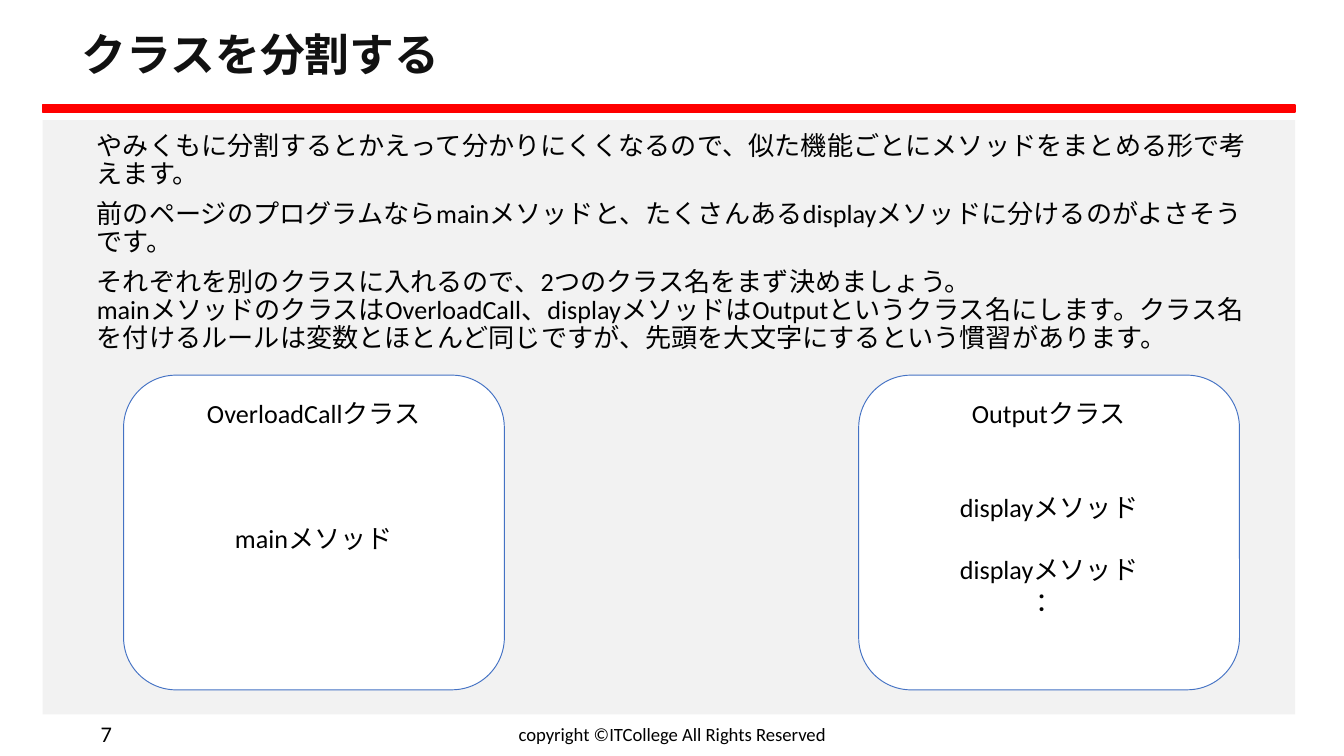
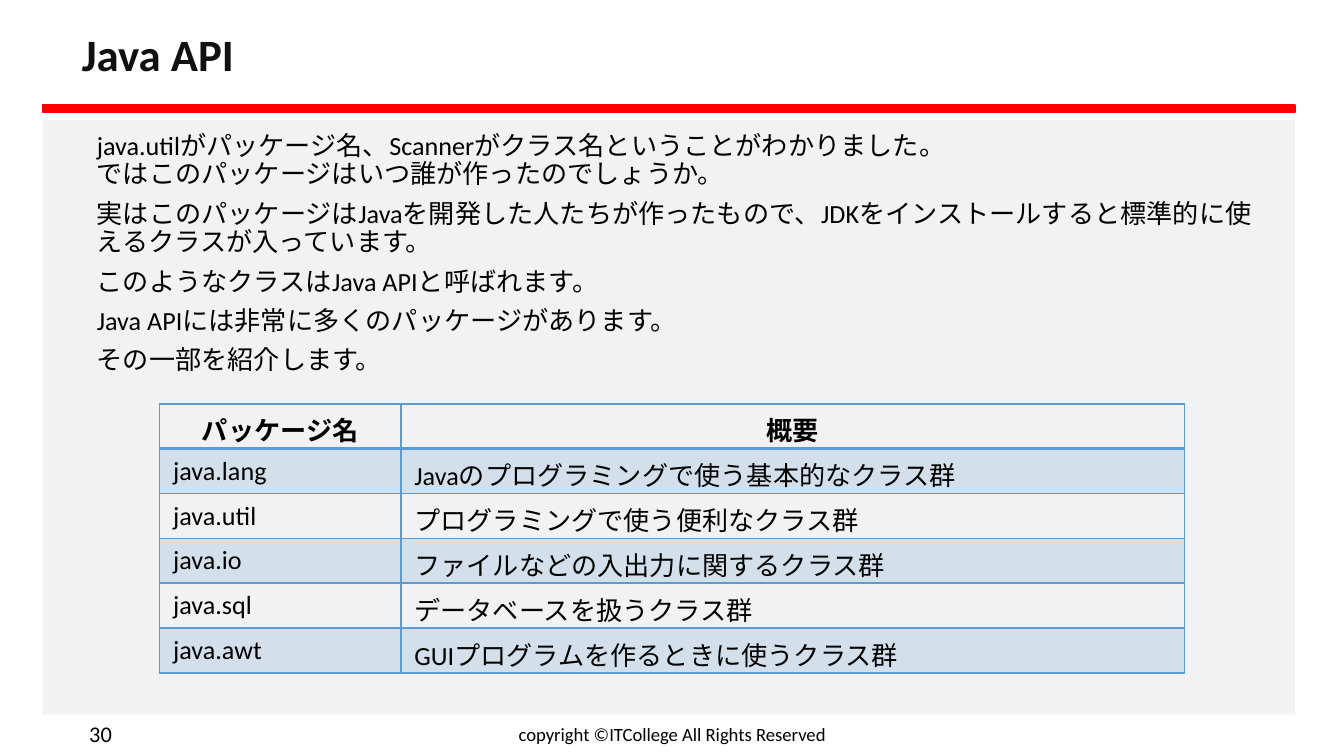
from lxml.etree import SubElement
from pptx import Presentation
from pptx.dml.color import RGBColor
from pptx.enum.lang import MSO_LANGUAGE_ID
from pptx.enum.shapes import MSO_SHAPE
from pptx.enum.text import MSO_ANCHOR, PP_ALIGN
from pptx.oxml.ns import qn
from pptx.util import Pt

BLACK = RGBColor(0x00, 0x00, 0x00)
TITLE_INK = RGBColor(0x11, 0x11, 0x11)
WHITE = RGBColor(0xFF, 0xFF, 0xFF)
PANEL = RGBColor(0xF2, 0xF2, 0xF2)
RED = RGBColor(0xFF, 0x00, 0x00)
CLASS_BLUE = RGBColor(0x44, 0x72, 0xC4)
TABLE_BLUE = RGBColor(0x5B, 0x9B, 0xD5)
LINE_HEIGHT = 16.75
COPYRIGHT = "copyright ©ITCollege All Rights Reserved"

PAGES = [
    ("クラスを分割する", "7", [
        "やみくもに分割するとかえって分かりにくくなるので、似た機能ごとにメソッドをまとめる形で考えます。",
        "前のページのプログラムならmainメソッドと、たくさんあるdisplayメソッドに分けるのがよさそうです。",
        "それぞれを別のクラスに入れるので、2つのクラス名をまず決めましょう。\n"
        "mainメソッドのクラスはOverloadCall、displayメソッドはOutputというクラス名にします。"
        "クラス名を付けるルールは変数とほとんど同じですが、先頭を大文字にするという慣習があります。",
    ]),
    ("Java API", "30", [
        "java.utilがパッケージ名、Scannerがクラス名ということがわかりました。\n"
        "ではこのパッケージはいつ誰が作ったのでしょうか。",
        "実はこのパッケージはJavaを開発した人たちが作ったもので、JDKをインストールすると標準的に使えるクラスが入っています。",
        "このようなクラスはJava APIと呼ばれます。",
        "Java APIには非常に多くのパッケージがあります。",
        "その一部を紹介します。",
    ]),
]

# Each line of a class box: text, number of lines left free above it
CLASS_BOXES = [
    (66.2, [("OverloadCallクラス", 0), ("mainメソッド", 3)]),
    (460, [("Outputクラス", 0), ("displayメソッド", 2),
           ("displayメソッド", 1), ("：", 0)]),
]

PACKAGES = [
    ("パッケージ名", "概要"),
    ("java.lang", "Javaのプログラミングで使う基本的なクラス群"),
    ("java.util", "プログラミングで使う便利なクラス群"),
    ("java.io", "ファイルなどの入出力に関するクラス群"),
    ("java.sql", "データベースを扱うクラス群"),
    ("java.awt", "GUIプログラムを作るときに使うクラス群"),
]


def write(text_frame, texts, size=14, color=BLACK, bold=False, **layout):
    """Fill a text frame, one paragraph per text, and return the paragraphs."""
    text_frame.word_wrap = True
    font_format = {"name": "Calibri", "size": Pt(size), "bold": bold,
                   "language_id": MSO_LANGUAGE_ID.JAPANESE}
    for index, text in enumerate(texts):
        paragraph = text_frame.paragraphs[0] if index == 0 else text_frame.add_paragraph()
        paragraph.text = text
        for name, value in layout.items():
            setattr(paragraph, name, value)
        for run in paragraph.runs:
            for name, value in font_format.items():
                setattr(run.font, name, value)
            run.font.color.rgb = color
        for line_break in paragraph._p.findall(qn("a:br")):
            SubElement(line_break, qn("a:rPr"), sz=str(size * 100))
    return text_frame.paragraphs


def add_block(slide, kind, box, fill, line=None, line_width=1):
    shape = slide.shapes.add_shape(kind, *map(Pt, box))
    shape.shadow.inherit = False
    shape.fill.solid()
    shape.fill.fore_color.rgb = fill
    if line is None:
        shape.line.fill.background()
    else:
        shape.line.color.rgb = line
        shape.line.width = Pt(line_width)
    return shape


presentation = Presentation()
presentation.slide_width = Pt(720)
presentation.slide_height = Pt(405)

# Frame and body text of every slide
slides = []
for title, number, body in PAGES:
    slide = presentation.slides.add_slide(presentation.slide_layouts[6])
    slides.append(slide)
    add_block(slide, MSO_SHAPE.RECTANGLE, (22.8, 64.4, 671, 318.4), PANEL)
    add_block(slide, MSO_SHAPE.RECTANGLE, (22.8, 56.4, 671, 3.6), RED, RED)

    frames = [
        ((238.5, 383, 243, 20.2), COPYRIGHT, {"size": 10, "alignment": PP_ALIGN.CENTER}),
        ((36.8, 9.4, 647.2, 42.4), title,
         {"size": 24, "color": TITLE_INK, "bold": True, "line_spacing": 0.9}),
        ((17.2, 383, 49.8, 20.2), number, {"size": 12, "alignment": PP_ALIGN.RIGHT}),
    ]
    for box, text, text_format in frames:
        text_frame = slide.shapes.add_textbox(*map(Pt, box)).text_frame
        text_frame.vertical_anchor = MSO_ANCHOR.MIDDLE
        write(text_frame, [text], **text_format)

    body_box = slide.shapes.add_textbox(Pt(36.8), Pt(67.7), Pt(647.2), Pt(140))
    paragraphs = write(body_box.text_frame, body, line_spacing=0.9)
    for index, paragraph in enumerate(paragraphs):
        paragraph._p.get_or_add_pPr().set("marL", str(Pt(8)))
        if index:
            paragraph.space_before = Pt(6)

class_slide, package_slide = slides

# The two classes
for left, lines in CLASS_BOXES:
    class_box = add_block(class_slide, MSO_SHAPE.ROUNDED_RECTANGLE,
                          (left, 201, 204, 168.6), WHITE, CLASS_BLUE, 0.5)
    class_box.text_frame.vertical_anchor = MSO_ANCHOR.TOP
    paragraphs = write(class_box.text_frame, [text for text, gap in lines],
                       alignment=PP_ALIGN.CENTER)
    for paragraph, (text, gap) in zip(paragraphs, lines):
        if gap:
            paragraph.space_before = Pt(gap * LINE_HEIGHT)

# Package table
table = package_slide.shapes.add_table(
    len(PACKAGES), 2, Pt(85.5), Pt(216.3), Pt(549), Pt(133.8)).table
table.first_row = table.horz_banding = False
for column, width in zip(table.columns, (129.3, 419.7)):
    column.width = Pt(width)
for row_index, row_texts in enumerate(PACKAGES):
    table.rows[row_index].height = Pt(22.3)
    is_header = row_index == 0
    for column_index, text in enumerate(row_texts):
        cell = table.cell(row_index, column_index)
        write(cell.text_frame, [text], bold=is_header,
              alignment=PP_ALIGN.CENTER if is_header else PP_ALIGN.LEFT)
        properties = cell._tc.get_or_add_tcPr()
        for side in ("lnL", "lnR", "lnT", "lnB"):
            under_header = (row_index, side) in ((0, "lnB"), (1, "lnT"))
            border = SubElement(properties, qn(f"a:{side}"), w=str(Pt(2 if under_header else 1)))
            border_fill = SubElement(border, qn("a:solidFill"))
            SubElement(border_fill, qn("a:srgbClr"), val=str(TABLE_BLUE))
        if row_index % 2:
            cell.fill.solid()
            cell.fill.fore_color.rgb = TABLE_BLUE
            fill_color = properties.find(qn("a:solidFill")).find(qn("a:srgbClr"))
            SubElement(fill_color, qn("a:alpha"), val="20000")
        else:
            cell.fill.background()

presentation.save("out.pptx")
